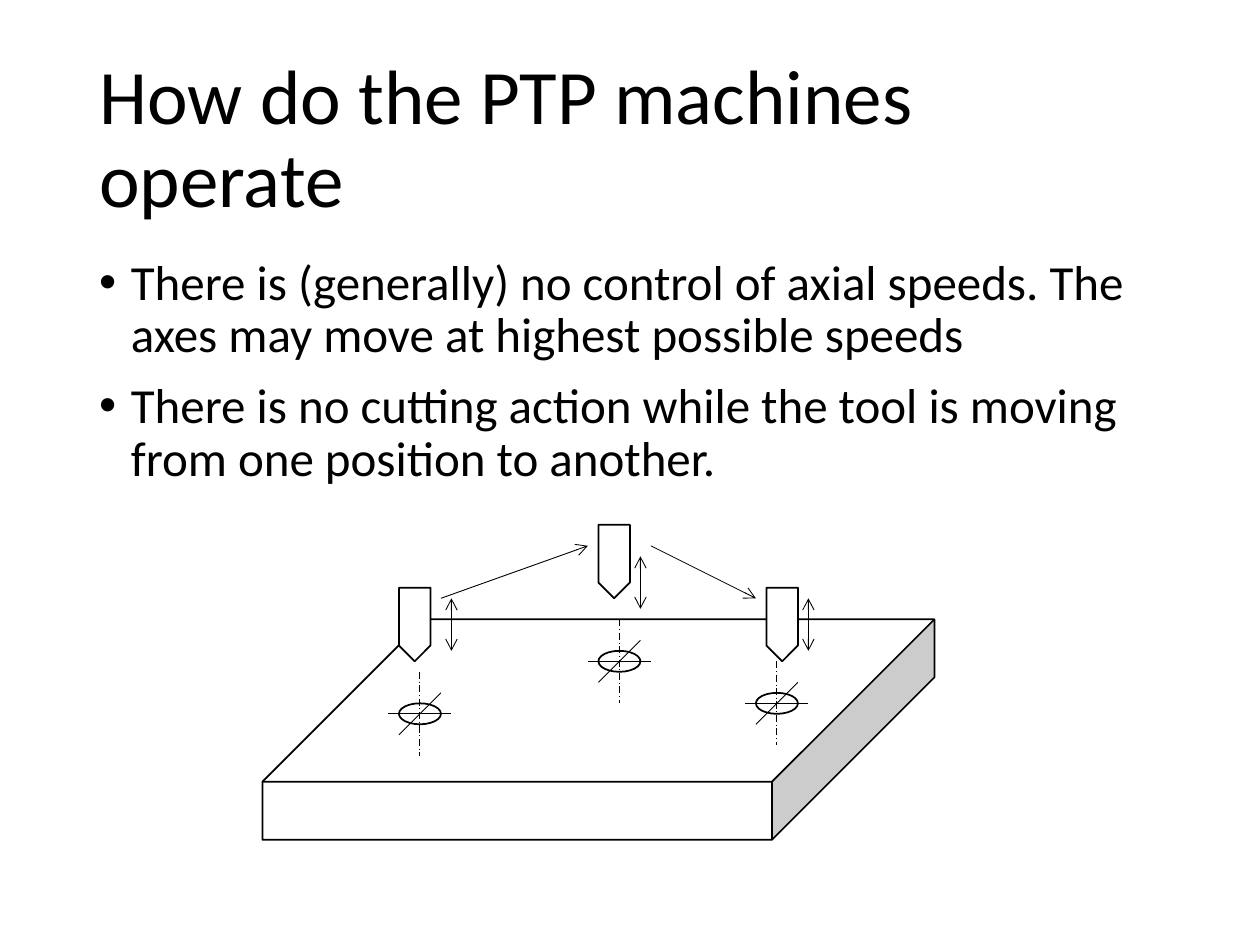
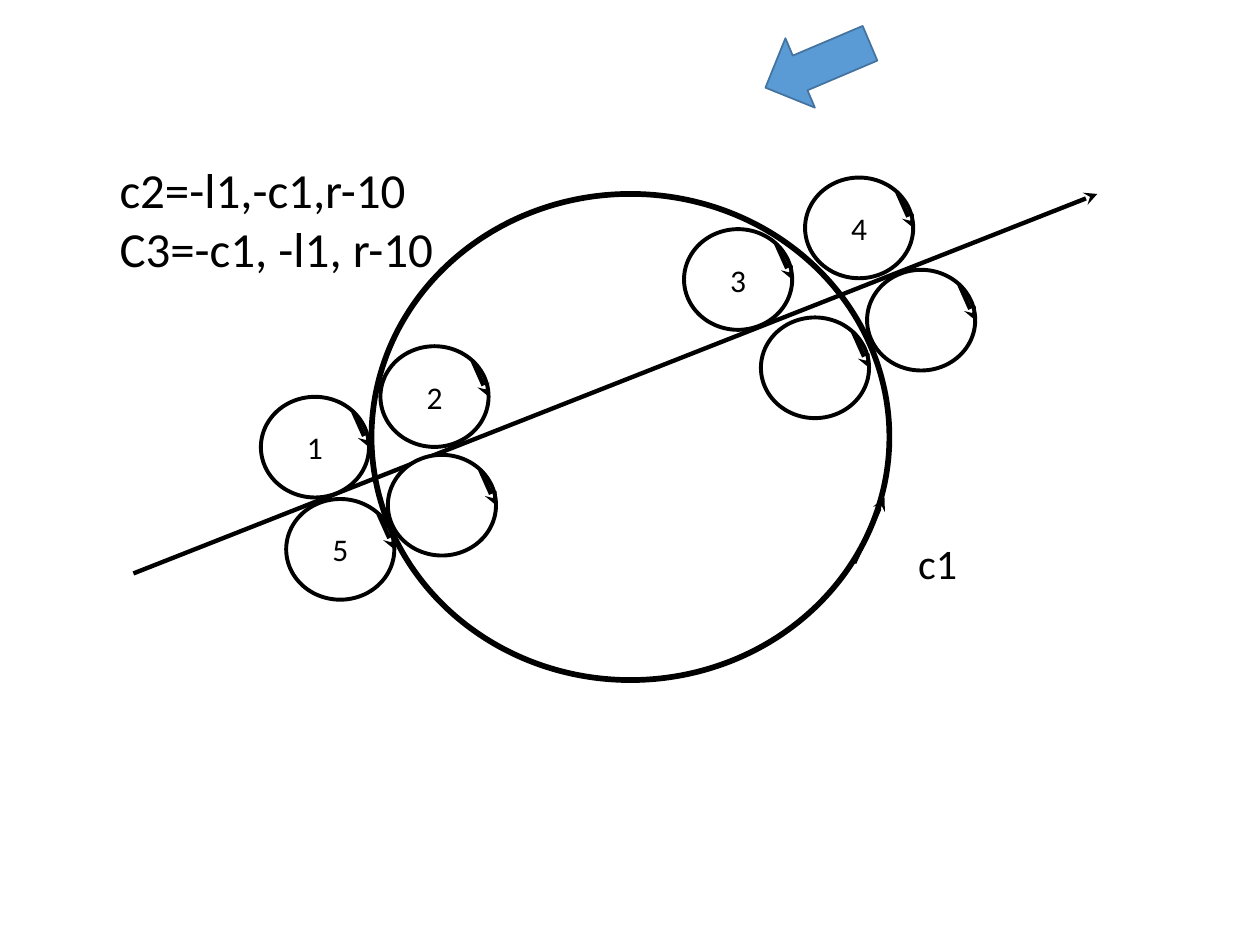
import pptx
import pptx.dml.color
import pptx.enum.dml
import pptx.enum.shapes
import pptx.enum.text
import pptx.oxml.ns
import pptx.util
from lxml import etree

Cm, Pt = pptx.util.Cm, pptx.util.Pt
qn = pptx.oxml.ns.qn
SHAPE = pptx.enum.shapes.MSO_SHAPE
ANCHOR = pptx.enum.text.MSO_ANCHOR
ALIGN = pptx.enum.text.PP_ALIGN
AUTO_SIZE = pptx.enum.text.MSO_AUTO_SIZE
DASH_DOT = pptx.enum.dml.MSO_LINE.LONG_DASH_DOT

COLOURS = {"ink": "000000", "paper": "FFFFFF", "arrow": "5B9BD5", "arrow edge": "43739E"}
FONT = "Calibri"
CELL = Cm(2.54) / 12


def colour(key):
    """Return the named colour."""
    return pptx.dml.color.RGBColor.from_string(COLOURS[key])


def apply(target, formats):
    """Set each attribute of target named in formats."""
    for attribute, value in formats.items():
        setattr(target, attribute, value)


def write(frame, lines, size, frame_format, paragraph_format, bullet=False):
    """Fill a text frame with one paragraph per line."""
    apply(frame, frame_format)
    for index, line in enumerate(lines):
        paragraph = frame.paragraphs[0] if index == 0 else frame.add_paragraph()
        paragraph.text = line
        apply(paragraph, paragraph_format)
        paragraph.space_before = Pt(10 if bullet and index else 0)
        if bullet:
            properties = paragraph._p.get_or_add_pPr()
            apply_indent = {"marL": Cm(0.64), "indent": -Cm(0.64)}
            for key, value in apply_indent.items():
                properties.set(key, str(value))
            etree.SubElement(properties, qn("a:buFont"), typeface="Arial")
            etree.SubElement(properties, qn("a:buChar"), char="•")
        apply(paragraph.font, {"name": FONT, "size": Pt(size)})
        paragraph.font.color.rgb = colour("ink")


def draw(shapes, preset, box, weight, fill="paper", edge="ink"):
    """Add a filled and outlined preset shape."""
    shape = shapes.add_shape(preset, *map(round, box))
    shape.shadow.inherit = False
    shape.fill.solid()
    shape.fill.fore_color.rgb = colour(fill)
    shape.line.color.rgb = colour(edge)
    shape.line.width = Pt(weight)
    return shape


def connect(shapes, start, end, weight, dash=None, **ends):
    """Add a straight line with optional dash, headEnd and tailEnd."""
    straight = pptx.enum.shapes.MSO_CONNECTOR.STRAIGHT
    connector = shapes.add_connector(straight, *map(round, (*start, *end)))
    connector.line.color.rgb = colour("ink")
    apply(connector.line, {"width": Pt(weight), "dash_style": dash})
    outline = connector.line._get_or_add_ln()
    for tag in ("headEnd", "tailEnd"):
        if tag in ends:
            etree.SubElement(outline, qn(f"a:{tag}"), type=ends[tag])
    etree.SubElement(connector._element.spPr, qn("a:effectLst"))


def place_title(slide, box, text):
    """Move and format the title placeholder."""
    title = slide.shapes.title
    apply(title, dict(zip(("left", "top", "width", "height"), box)))
    write(title.text_frame, [text], 44,
          {"vertical_anchor": ANCHOR.MIDDLE, "word_wrap": True, "auto_size": AUTO_SIZE.NONE},
          {"alignment": ALIGN.LEFT, "line_spacing": 0.9})


def place_points(slide, box, points):
    """Add the bulleted statements."""
    body = slide.shapes.add_textbox(*box)
    write(body.text_frame, points, 28, {"word_wrap": True}, {"line_spacing": 0.9}, bullet=True)


def drill_hole(slide, x, y):
    """Add a hole with its centre lines around a centre point."""
    shapes = slide.shapes.add_group_shape().shapes
    draw(shapes, SHAPE.OVAL, (x - 2 * CELL, y - CELL, 4 * CELL, 2 * CELL), 1)
    for dx, dy, dash in ((0, 4, DASH_DOT), (-2, 2, None), (3, 0, None)):
        reach_x, reach_y = dx * CELL, dy * CELL
        connect(shapes, (x - reach_x, y - reach_y), (x + reach_x, y + reach_y), 0.5, dash)


def draw_workpiece(slide, left, top):
    """Draw the plate, its holes and the tool hops on a grid of cells."""
    def at(column, row):
        """Return the point at a grid position."""
        return left + column * CELL, top + row * CELL

    plate = draw(slide.shapes, SHAPE.CUBE, (*at(0, 9), 64 * CELL, 21 * CELL), 1)
    plate.adjustments[0] = 0.737
    for hole in ((34, 13), (15, 18), (49, 17)):
        drill_hole(slide, *at(*hole))
    for column, row in ((33.5, 3.5), (49.5, 9.5), (14.5, 9.5)):
        tool = draw(slide.shapes, SHAPE.PENTAGON,
                    (*at(column - 3.5, row - 1.5), 7 * CELL, 3 * CELL), 1)
        tool.rotation = 90
    for start, end in (((17, 7), (31, 2)), ((37, 2), (47, 7))):
        connect(slide.shapes, at(*start), at(*end), 0.5, tailEnd="arrow")
    for column, row in ((18, 7), (36, 3), (52, 7)):
        connect(slide.shapes, at(column, row), at(column, row + 5), 0.5,
                headEnd="arrow", tailEnd="arrow")


def draw_cutter(slide, x, y, label):
    """Draw one small directed circle, labelled if it has a number."""
    shapes = slide.shapes.add_group_shape().shapes
    width, height = Cm(2.18), Cm(2.03)
    circle = draw(shapes, SHAPE.OVAL, (x, y, width, height), 2.25)
    if label:
        write(circle.text_frame, [label], 18,
              {"vertical_anchor": ANCHOR.MIDDLE, "word_wrap": False},
              {"alignment": ALIGN.CENTER})
    connect(shapes, (x + Cm(1.86), y + Cm(0.3)), (x + width, y + height / 2), 2.5,
            tailEnd="stealth")


def draw_tangents(slide, left, top):
    """Draw the main circle, the line and the circles that touch both."""
    def at(x, y):
        """Return the point at an offset in centimetres."""
        return left + Cm(x), top + Cm(y)

    draw(slide.shapes, SHAPE.OVAL, (*at(5.49, 0.91), Cm(10.44), Cm(9.8)), 3.25)
    connect(slide.shapes, at(0.69, 8.56), at(20.12, 0.91), 2.5, tailEnd="stealth")
    cutters = ((15.48, 2.44, ""), (5.67, 3.98, "2"), (14.23, 0.58, "4"), (13.34, 3.4, ""),
               (11.79, 1.62, "3"), (5.82, 6.17, ""), (3.26, 5, "1"), (3.77, 7.06, "5"))
    for x, y, label in cutters:
        draw_cutter(slide, *at(x, y), label)
    connect(slide.shapes, at(15.22, 8.35), at(15.83, 7.03), 2.5, tailEnd="stealth")
    captions = (((16.26, 7.72, 1.3, 1.27), ["c1"], 24),
                ((0.16, 0.1, 6.96, 2.64), ["c2=-l1,-c1,r-10", "C3=-c1, -l1, r-10"], 28))
    for (x, y, width, height), lines, size in captions:
        caption = slide.shapes.add_textbox(*at(x, y), Cm(width), Cm(height))
        write(caption.text_frame, lines, size, {"word_wrap": False}, {})


def draw_pointer(slide, box):
    """Draw the tilted block arrow."""
    pointer = draw(slide.shapes, SHAPE.LEFT_ARROW, box, 1, "arrow", "arrow edge")
    pointer.rotation = 337


def build_machine_slide(deck):
    """Build the slide on point-to-point machines."""
    slide = deck.slides.add_slide(deck.slide_layouts[5])
    place_title(slide, (Cm(1.75), Cm(1.01), Cm(21.9), Cm(3.68)),
                "How do the PTP machines operate")
    place_points(slide, (Cm(1.75), Cm(5.07), Cm(21.9), Cm(12.09)), [
        "There is (generally) no control of axial speeds. "
        "The axes may move at highest possible speeds",
        "There is no cutting action while the tool is moving "
        "from one position to another."])
    draw_workpiece(slide, Cm(5.29), Cm(10.58))


def build_tangent_slide(deck):
    """Build the slide on tangent circles."""
    slide = deck.slides.add_slide(deck.slide_layouts[6])
    draw_tangents(slide, Cm(2), Cm(3))
    draw_pointer(slide, (Cm(15.34), Cm(0.56), Cm(2.29), Cm(1.52)))


def main():
    """Build and save the deck."""
    deck = pptx.Presentation()
    apply(deck, {"slide_width": Cm(25.4), "slide_height": Cm(19.05)})
    build_machine_slide(deck)
    build_tangent_slide(deck)
    deck.save("out.pptx")


if __name__ == "__main__":
    main()
